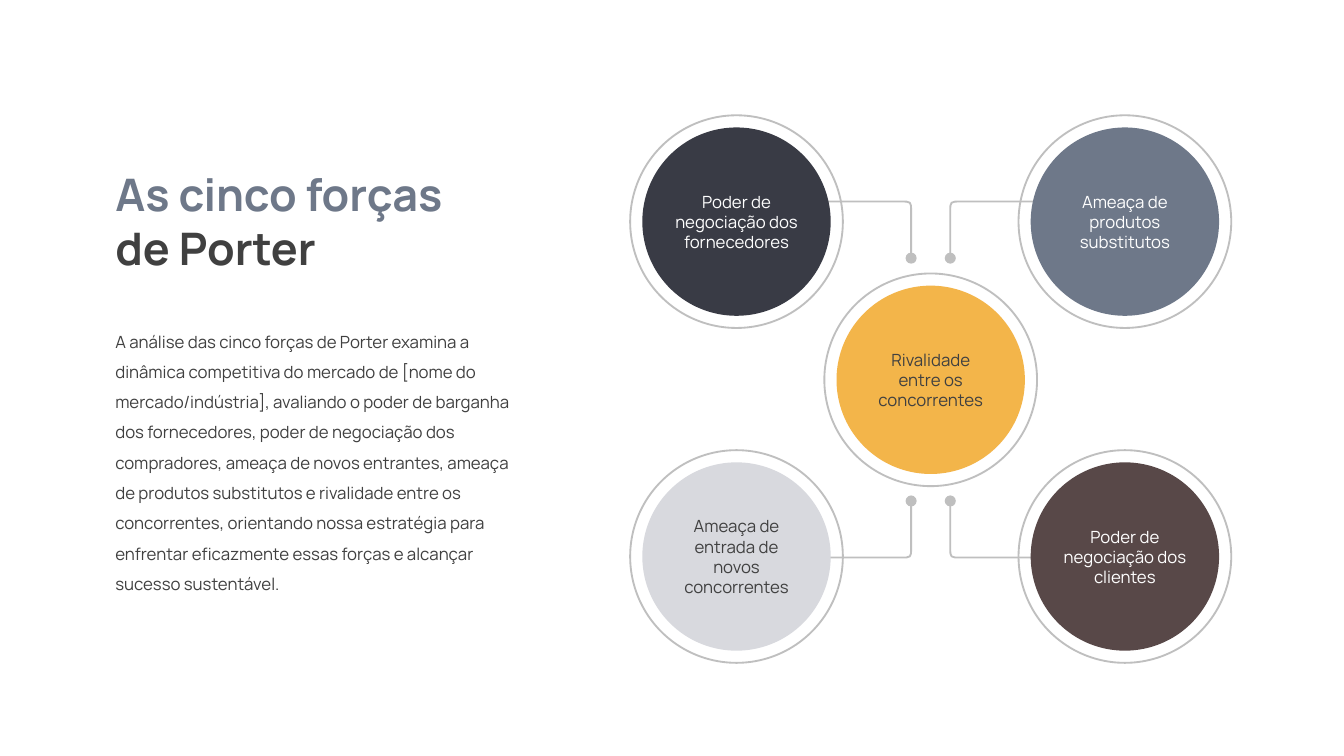
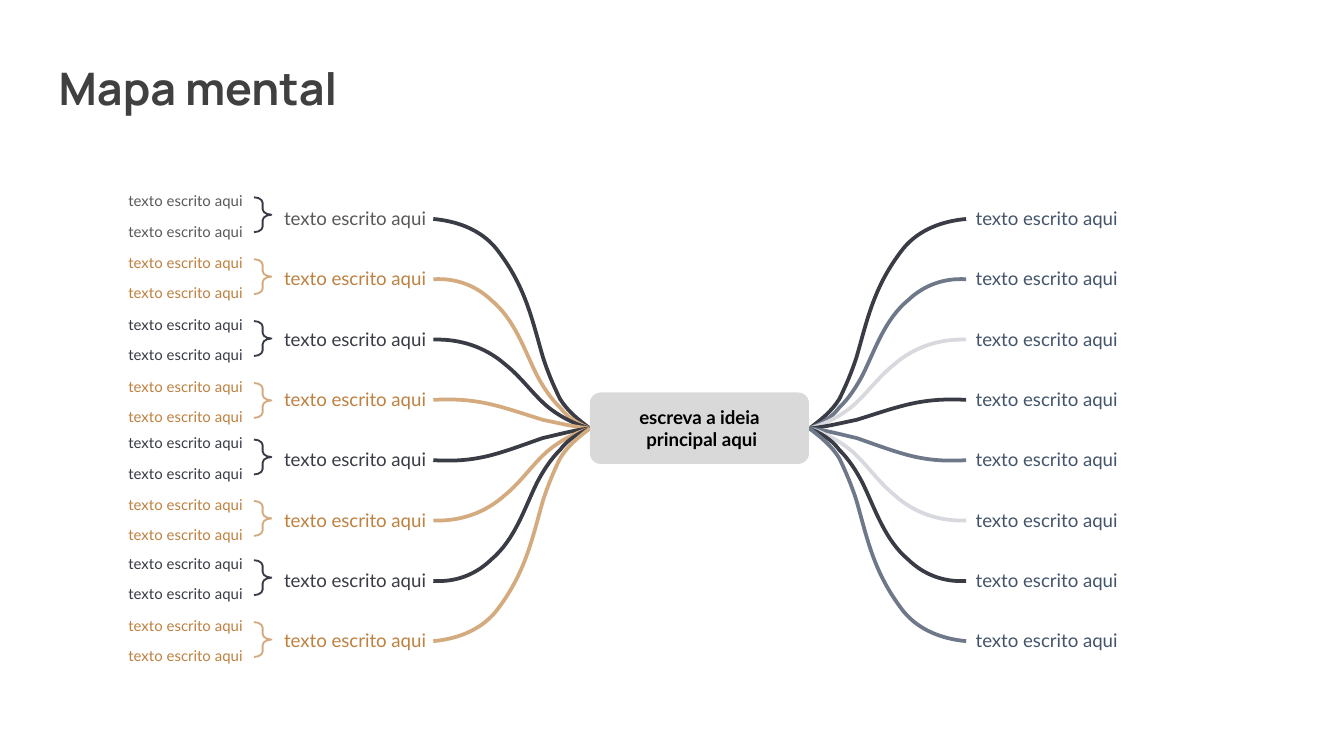
"""Build two slides: the five forces of Porter and a mind map."""
from lxml import etree
from pptx import Presentation
from pptx.dml.color import RGBColor
from pptx.enum.shapes import MSO_SHAPE
from pptx.enum.text import MSO_ANCHOR, MSO_AUTO_SIZE, PP_ALIGN
from pptx.oxml.ns import qn
from pptx.util import Cm, Pt

OVAL = MSO_SHAPE.OVAL
ROUND = MSO_SHAPE.ROUNDED_RECTANGLE
BRACE = MSO_SHAPE.RIGHT_BRACE
TOP, MIDDLE = MSO_ANCHOR.TOP, MSO_ANCHOR.MIDDLE
LEFT, CENTER, RIGHT = PP_ALIGN.LEFT, PP_ALIGN.CENTER, PP_ALIGN.RIGHT
GROW = MSO_AUTO_SIZE.SHAPE_TO_FIT_TEXT
FIXED = MSO_AUTO_SIZE.NONE


class Theme:
    ink, dark, slate = "404040", "393B45", "6E7889"
    gold, pale, brown = "F3B54A", "D8D9DE", "584848"
    tan, amber, gray, navy = "D4AB7F", "BE8140", "595959", "44546A"
    rule, hub, white, black = "BFBFBF", "D9D9D9", "FFFFFF", "000000"
    head, body = "Manrope", "Lato"
    title, prose, topic, detail = 24, 9, 10, 8
    thin, thick = 1, 2


def write(shape, text, font=Theme.body, size=Theme.topic, hue=Theme.ink,
          bold=False, align=LEFT, anchor=TOP, inset=(0.25, 0.13),
          space=None, fit=GROW):
    frame = shape.text_frame
    frame.word_wrap = True
    frame.auto_size = fit
    frame.vertical_anchor = anchor
    frame.margin_left = frame.margin_right = Cm(inset[0])
    frame.margin_top = frame.margin_bottom = Cm(inset[1])
    for i, line in enumerate(text.split("\n")):
        para = frame.add_paragraph() if i else frame.paragraphs[0]
        para.alignment = align
        para.line_spacing = space
        run = para.add_run()
        run.text = line
        run.font.name = font
        run.font.size = Pt(size)
        run.font.bold = bold
        run.font.color.rgb = RGBColor.from_string(hue)
    return frame


def trace(slide, points, hue, width):
    spots = [(Cm(x), Cm(y)) for x, y in points]
    pen = slide.shapes.build_freeform(*spots[0])
    pen.add_line_segments(spots[1:], close=False)
    shape = pen.convert_to_shape()
    shape.shadow.inherit = False
    shape.fill.background()
    shape.line.color.rgb = RGBColor.from_string(hue)
    shape.line.width = Pt(width)
    route = shape._element.spPr.find(".//" + qn("a:path"))
    steps = route.findall(qn("a:lnTo"))
    for i in range(0, len(steps), 3):
        curve = etree.SubElement(route, qn("a:cubicBezTo"))
        for step in steps[i:i + 3]:
            curve.append(step[0])
            route.remove(step)
    return shape


deck = Presentation()
deck.slide_width, deck.slide_height = Cm(25.4), Cm(14.29)
blank = deck.slide_layouts[6]

forces = deck.slides.add_slide(blank)
mid = 17.59
for side in (-1, 1):
    for outer, inner, turn in ((10.54, 9.47, -0.18), (3.81, 4.88, 0.18)):
        start, bend = (mid + side * 2.3, outer), (mid + side * 0.57, outer)
        inside = mid + side * 0.37
        corner, leg, end = (inside, outer), (inside, outer + turn), (inside, inner)
        link = trace(forces, [start, start, bend, bend, corner, corner, leg,
                              leg, end, end], Theme.rule, Theme.thin)
        line = link._element.spPr.find(qn("a:ln"))
        etree.SubElement(line, qn("a:tailEnd"), type="oval")

prose = forces.shapes.add_textbox(Cm(1.93), Cm(5.94), Cm(8.1), Cm(5.97))
write(prose, "A análise das cinco forças de Porter examina a dinâmica competitiva "
      "do mercado de [nome do mercado/indústria], avaliando o poder de barganha "
      "dos fornecedores, poder de negociação dos compradores, ameaça de novos "
      "entrantes, ameaça de produtos substitutos e rivalidade entre os "
      "concorrentes, orientando nossa estratégia para enfrentar eficazmente "
      "essas forças e alcançar sucesso sustentável.",
      font=Theme.head, size=Theme.prose, space=1.5)

discs = [
    ("Poder de negociação dos fornecedores", 13.92, 4.19, Theme.dark, Theme.white),
    ("Ameaça de produtos substitutos", 21.26, 4.19, Theme.slate, Theme.white),
    ("Rivalidade entre os concorrentes", mid, 7.18, Theme.gold, Theme.ink),
    ("Ameaça de entrada de novos concorrentes", 13.92, 10.52, Theme.pale, Theme.ink),
    ("Poder de negociação dos clientes", 21.26, 10.52, Theme.brown, Theme.white),
]
for text, x, y, fill, hue in discs:
    for size in (3.56, 4.02):
        disc = forces.shapes.add_shape(OVAL, Cm(x - size / 2), Cm(y - size / 2),
                                       Cm(size), Cm(size))
        disc.shadow.inherit = False
        if size < 4:
            disc.fill.solid()
            disc.fill.fore_color.rgb = RGBColor.from_string(fill)
            disc.line.fill.background()
            write(disc, text, font=Theme.head, size=Theme.prose, hue=hue,
                  align=CENTER, anchor=MIDDLE, inset=(0.1, 0.13), fit=FIXED)
        else:
            disc.fill.background()
            disc.line.color.rgb = RGBColor.from_string(Theme.rule)
            disc.line.width = Pt(Theme.thin)

title = forces.shapes.add_textbox(Cm(1.93), Cm(3.02), Cm(11.2), Cm(2.31))
frame = write(title, "As cinco forças\nde Porter", font=Theme.head,
              size=Theme.title, bold=True)
frame.paragraphs[0].runs[0].font.color.rgb = RGBColor.from_string(Theme.slate)

mind = deck.slides.add_slide(blank)
title = mind.shapes.add_textbox(Cm(0.86), Cm(1.02), Cm(12.22), Cm(1.27))
write(title, "Mapa mental", font=Theme.head, size=Theme.title, bold=True,
      anchor=MIDDLE)

label = "texto escrito aqui"
tight = (0.05, 0.05)
reach, heart = 2.96, 8.1
bends = [
    [(0, 0), (0.07, 0.04), (0.14, 0.08), (0.19, 0.14), (0.23, 0.2),
     (0.27, 0.27), (0.3, 0.34), (0.37, 0.52), (0.41, 0.68), (0.6, 0.86),
     (0.7, 0.95), (0.85, 0.99), (1, 1)],
    [(0, 0), (0.07, 0.03), (0.14, 0.07), (0.19, 0.14), (0.25, 0.2),
     (0.3, 0.28), (0.34, 0.36), (0.42, 0.53), (0.48, 0.73), (0.63, 0.86),
     (0.73, 0.96), (0.86, 1.01), (1, 1)],
    [(0, 0), (0.1, 0.05), (0.2, 0.14), (0.28, 0.26), (0.37, 0.4),
     (0.44, 0.58), (0.54, 0.72), (0.67, 0.92), (0.83, 1.01), (1, 1)],
    [(0, 0), (0.1, 0.05), (0.2, 0.19), (0.3, 0.3), (0.4, 0.47),
     (0.5, 0.66), (0.6, 0.8), (0.74, 1), (0.86, 1.04), (1, 1)],
]
warm = [Theme.dark, Theme.tan]
cool = [Theme.dark, Theme.slate, Theme.pale]
braces = [3.73, 4.9, 6.07, 7.24, 8.31, 9.47, 10.59, 11.76]
for row, crest in enumerate(braces):
    rise = 4.14 + 1.14 * row - heart
    bend = bends[min(row, 7 - row)]
    tone = warm[row % 2]
    hue = Theme.amber if row % 2 else Theme.dark if row else Theme.gray
    sides = ((11.15, -1, tone, 4.62, hue, RIGHT),
             (15.3, 1, cool[row % 3], 18.39, Theme.navy, LEFT))
    for edge, way, stroke, x, ink, align in sides:
        trace(mind, [(edge + way * reach * u, heart + rise * v) for u, v in bend],
              stroke, Theme.thick)
        topic = mind.shapes.add_textbox(Cm(x), Cm(3.86 + 1.14 * row),
                                        Cm(3.48), Cm(0.53))
        write(topic, label, hue=ink, align=align, inset=tight)
    brace = mind.shapes.add_shape(BRACE, Cm(4.8), Cm(crest), Cm(0.33), Cm(0.66))
    brace.adjustments[0] = 0.32
    brace.shadow.inherit = False
    brace.fill.background()
    brace.line.color.rgb = RGBColor.from_string(tone)
    brace.line.width = Pt(Theme.thin)
    for shift in (-0.16, 0.42):
        detail = mind.shapes.add_textbox(Cm(2.13), Cm(crest + shift),
                                         Cm(2.51), Cm(0.46))
        write(detail, label, size=Theme.detail, hue=hue, align=RIGHT, inset=tight)

hub = mind.shapes.add_shape(ROUND, Cm(11.15), Cm(7.42), Cm(4.14), Cm(1.35))
hub.adjustments[0] = 0.15
hub.shadow.inherit = False
hub.fill.solid()
hub.fill.fore_color.rgb = RGBColor.from_string(Theme.hub)
hub.line.fill.background()
write(hub, "escreva a ideia\n principal aqui", hue=Theme.black, bold=True,
      align=CENTER, anchor=MIDDLE, inset=(0, 0), fit=FIXED)

deck.save("out.pptx")
